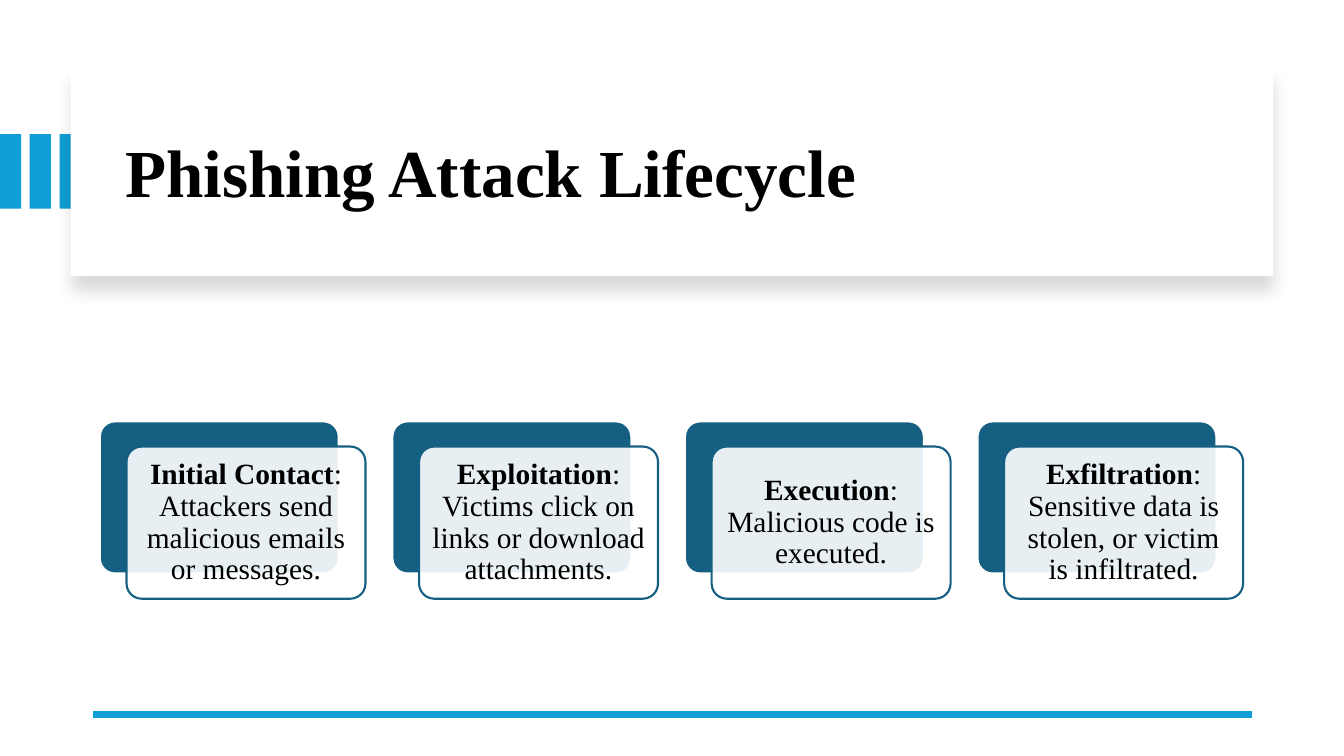
import lxml.etree
import pptx
import pptx.dml.color
import pptx.enum.shapes
import pptx.enum.text
import pptx.oxml
import pptx.oxml.ns
import pptx.util

Inches = pptx.util.Inches
Pt = pptx.util.Pt
SHAPES = pptx.enum.shapes.MSO_SHAPE
qn = pptx.oxml.ns.qn

FONT = "Times New Roman"
ACCENT = "0F9ED5"
CARD = "156082"
WHITE = "FFFFFF"
BLACK = "000000"

STAGES = [
    ("Initial Contact", ": Attackers send malicious emails or messages."),
    ("Exploitation", ": Victims click on links or download attachments."),
    ("Execution", ": Malicious code is executed."),
    ("Exfiltration", ": Sensitive data is stolen, or victim is infiltrated."),
]


def color(hex_string):
    return pptx.dml.color.RGBColor.from_string(hex_string)


def add_box(slide, kind, left, top, width, height, fill, line=None):
    shape = slide.shapes.add_shape(
        kind, Inches(left), Inches(top), Inches(width), Inches(height))
    shape.shadow.inherit = False
    shape.fill.solid()
    shape.fill.fore_color.rgb = color(fill)
    if line:
        shape.line.color.rgb = color(line)
        shape.line.width = Pt(1.5)
    else:
        shape.line.fill.background()
    return shape


def style_paragraph(paragraph, size, alignment):
    paragraph.alignment = alignment
    paragraph.line_spacing = 0.9
    paragraph.font.name = FONT
    paragraph.font.size = Pt(size)
    paragraph.font.color.rgb = color(BLACK)


def set_opacity(shape, percent):
    fill_color = shape.element.spPr.find(qn("a:solidFill"))[0]
    alpha = lxml.etree.SubElement(fill_color, qn("a:alpha"))
    alpha.set("val", str(percent * 1000))


def add_soft_shadow(shape):
    effects = shape.element.spPr.find(qn("a:effectLst"))
    shadow = lxml.etree.SubElement(
        effects, qn("a:outerShdw"), blurRad=str(Pt(11)), dist=str(Pt(10)),
        dir="5400000", algn="t", rotWithShape="0")
    shadow_color = lxml.etree.SubElement(shadow, qn("a:srgbClr"), val=BLACK)
    lxml.etree.SubElement(shadow_color, qn("a:alpha"), val="15000")


def add_header(slide, left, top, width, height):
    # Stripes running in from the slide edge, partly behind the panel
    for index in range(3):
        add_box(slide, SHAPES.RECTANGLE, index * 0.295, top + 0.66,
                0.21, 0.74, ACCENT)

    # White panel
    panel = add_box(slide, SHAPES.RECTANGLE, left, top, width, height, WHITE)
    add_soft_shadow(panel)

    # Title, brought in front of the panel
    title = slide.shapes.title
    title.left, title.top = Inches(left + 0.44), Inches(top + 0.22)
    title.width, title.height = Inches(width - 0.8), Inches(height - 0.37)
    title.element.getparent().append(title.element)
    frame = title.text_frame
    frame.text = "Phishing Attack Lifecycle"
    frame.auto_size = pptx.enum.text.MSO_AUTO_SIZE.NONE
    frame.vertical_anchor = pptx.enum.text.MSO_ANCHOR.MIDDLE
    paragraph = frame.paragraphs[0]
    style_paragraph(paragraph, 48, pptx.enum.text.PP_ALIGN.LEFT)
    paragraph.font.bold = True


def add_footer_rule(slide, left, top, width):
    rule = slide.shapes.add_connector(
        pptx.enum.shapes.MSO_CONNECTOR.STRAIGHT,
        Inches(left + width), Inches(top), Inches(left), Inches(top))
    rule.line.color.rgb = color(ACCENT)
    rule.line.width = Pt(4.5)
    lxml.etree.SubElement(rule.element.spPr, qn("a:effectLst"))


def add_stage(slide, left, top, width, height, name, description):
    # Dark card behind, translucent card in front, offset down and right
    back = add_box(slide, SHAPES.ROUNDED_RECTANGLE, left, top,
                   width, height, CARD, WHITE)
    front = add_box(slide, SHAPES.ROUNDED_RECTANGLE, left + 0.265, top + 0.25,
                    width, height, WHITE, CARD)
    back.adjustments[0] = front.adjustments[0] = 0.1
    set_opacity(front, 90)

    # Stage text
    frame = front.text_frame
    frame.word_wrap = True
    frame.vertical_anchor = pptx.enum.text.MSO_ANCHOR.MIDDLE
    frame.margin_left = frame.margin_right = Inches(0.07)
    frame.margin_top = frame.margin_bottom = Inches(0.09)
    paragraph = frame.paragraphs[0]
    style_paragraph(paragraph, 21, pptx.enum.text.PP_ALIGN.CENTER)
    name_run = paragraph.add_run()
    name_run.text = name
    name_run.font.bold = True
    paragraph.add_run().text = description


def add_lifecycle(slide, left, top, width, height):
    card_width, card_height = 2.37, height - 0.25
    pitch = (width - card_width - 0.265) / (len(STAGES) - 1)
    for index, (name, description) in enumerate(STAGES):
        add_stage(slide, left + index * pitch, top, card_width, card_height,
                  name, description)


def main():
    presentation = pptx.Presentation()
    presentation.slide_width = Inches(13.33)
    presentation.slide_height = Inches(7.5)
    slide = presentation.slides.add_slide(presentation.slide_layouts[5])
    slide.background.fill.solid()
    slide.background.fill.fore_color.rgb = color(WHITE)

    add_header(slide, 0.7, 0.67, 11.93, 2.07)
    add_footer_rule(slide, 0.92, 7.09, 11.5)
    add_lifecycle(slide, 0.99, 4.18, 11.34, 1.76)
    presentation.save("out.pptx")


if __name__ == "__main__":
    main()
